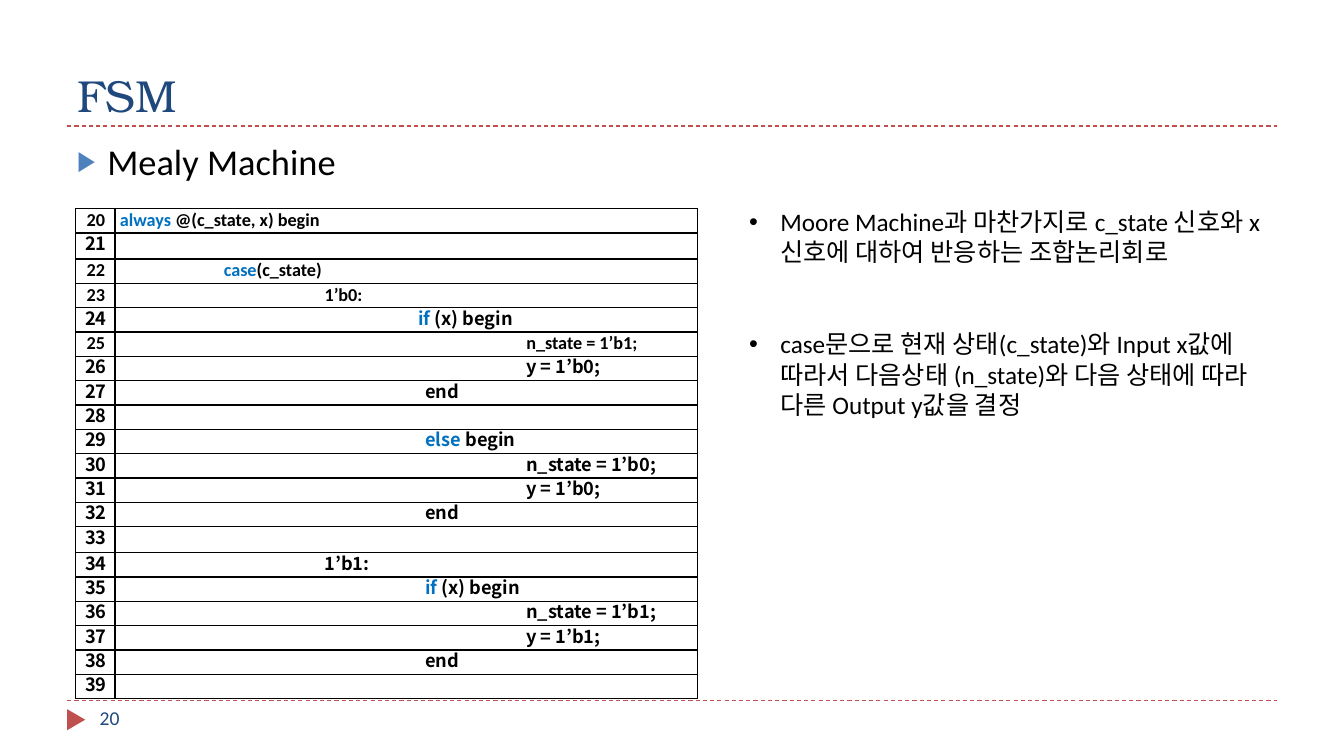
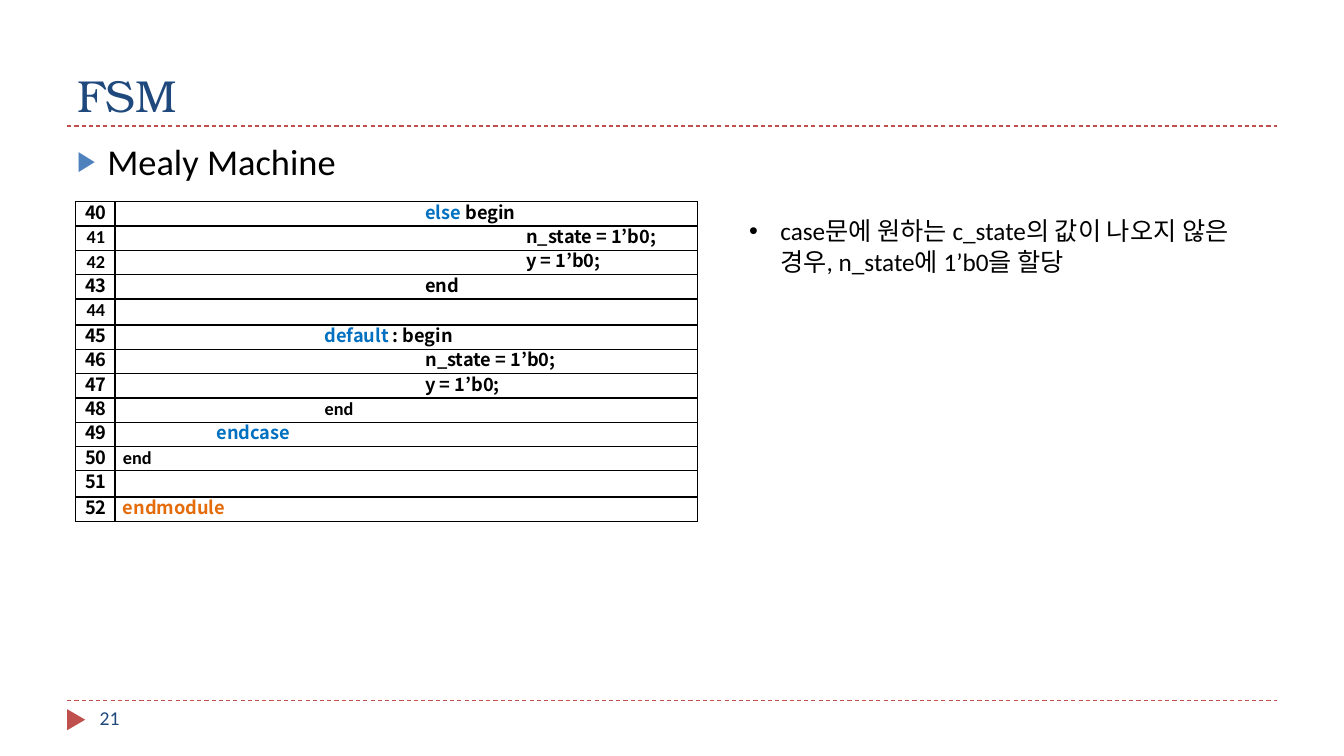
from collections import namedtuple

from lxml.etree import SubElement
from pptx import Presentation
from pptx.dml.color import RGBColor
from pptx.enum.dml import MSO_LINE_DASH_STYLE as Dash
from pptx.enum.shapes import MSO_CONNECTOR as Connector, MSO_SHAPE as Shape
from pptx.enum.text import MSO_ANCHOR as Anchor, PP_ALIGN as Align
from pptx.oxml.ns import qn
from pptx.util import Inches, Pt

WIDTH, HEIGHT = Inches(13.33), Inches(7.5)
GRID_COLS, GRID_ROWS = 40, 90

RED = RGBColor(0xC0, 0x50, 0x4D)
NAVY = RGBColor(0x1F, 0x49, 0x7D)
BLUE = RGBColor(0x4F, 0x81, 0xBD)
BLACK = RGBColor(0, 0, 0)
KEYWORD = RGBColor(0x00, 0x70, 0xC0)
ORANGE = RGBColor(0xE4, 0x6C, 0x0A)

SERIF, SANS, KOREAN = "TeX Gyre Bonum", "Calibri", "Noto Sans CJK KR"

Box = namedtuple("Box", "left top width height")

KEYWORD_COLORS = {
    "always": KEYWORD, "case": KEYWORD, "if": KEYWORD, "else": KEYWORD,
    "default": KEYWORD, "endcase": KEYWORD, "endmodule": ORANGE,
}
SANS_NUMBERS = {20, 22, 23, 25, 41, 42, 44}
SANS_CODE = {20, 22, 23, 25, 48, 50}
TALL_LINES = {21, 33, 44, 51}
CODE_MARGINS = {20: 0.05, 24: 0.01, 49: 0.01}

PAGES = [
    {
        "number": 20,
        "table_top": 24.84,
        "notes_top": 24,
        "first_line": 20,
        "code": [
            (0, "always @(c_state, x) begin"),
            (0, ""),
            (1, "case(c_state)"),
            (2, "1’b0:"),
            (3, "if (x) begin"),
            (4, "n_state = 1’b1;"),
            (4, "y = 1’b0;"),
            (3, "end"),
            (0, ""),
            (3, "else begin"),
            (4, "n_state = 1’b0;"),
            (4, "y = 1’b0;"),
            (3, "end"),
            (0, ""),
            (2, "1’b1:"),
            (3, "if (x) begin"),
            (4, "n_state = 1’b1;"),
            (4, "y = 1’b1;"),
            (3, "end"),
            (0, ""),
        ],
        "notes": [
            "Moore Machine과 마찬가지로 c_state 신호와 x신호에 대하여 반응하는 조합논리회로",
            "case문으로 현재 상태(c_state)와 Input x값에 따라서 다음상태 (n_state)와 "
            "다음 상태에 따라 다른 Output y값을 결정",
        ],
    },
    {
        "number": 21,
        "table_top": 24,
        "notes_top": 25.08,
        "first_line": 40,
        "code": [
            (3, "else begin"),
            (4, "n_state = 1’b0;"),
            (4, "y = 1’b0;"),
            (3, "end"),
            (0, ""),
            (2, "default : begin"),
            (3, "n_state = 1’b0;"),
            (3, "y = 1’b0;"),
            (2, "end"),
            (1, "endcase"),
            (0, "end"),
            (0, ""),
            (0, "endmodule"),
        ],
        "notes": ["case문에 원하는 c_state의 값이 나오지 않은 경우, n_state에 1’b0을 할당"],
    },
]


def cols(count):
    return round(WIDTH * count / GRID_COLS)


def rows(count):
    return round(HEIGHT * count / GRID_ROWS)


def grid_box(left, top, width, height):
    return Box(cols(left), rows(top), cols(width), rows(height))


def add_span(para, text, font, size, color, bold=False):
    span = para.add_run()
    span.text = text
    span.font.name = font
    span.font.size = Pt(size)
    span.font.bold = bold
    span.font.color.rgb = color
    SubElement(span.font._element, qn("a:ea"), typeface=KOREAN)


def add_text_frame(page, box, anchor=Anchor.TOP):
    frame = page.shapes.add_textbox(*box).text_frame
    frame.word_wrap = True
    frame.vertical_anchor = anchor
    return frame


def indent(para, margin, first=0):
    props = para._p.get_or_add_pPr()
    props.set("marL", str(Inches(margin)))
    props.set("indent", str(Inches(first)))
    return props


def set_bullet(para, mark, hang, color=None, percent=100):
    props = indent(para, hang, -hang)
    if color is not None:
        holder = SubElement(props, qn("a:buClr"))
        SubElement(holder, qn("a:srgbClr"), val=str(color))
    SubElement(props, qn("a:buSzPct"), val=str(percent * 1000))
    SubElement(props, qn("a:buFont"), typeface="Arial")
    SubElement(props, qn("a:buChar"), char=mark)


def add_rule(page, left, top, width):
    rule = page.shapes.add_connector(Connector.STRAIGHT, left, top, left + width, top)
    rule.line.color.rgb = RED
    rule.line.width = Pt(0.75)
    rule.line.dash_style = Dash.DASH
    SubElement(rule._element.spPr, qn("a:effectLst"))


def add_title(page, box, text):
    add_rule(page, box.left, box.top + box.height, box.width)
    frame = add_text_frame(page, box, Anchor.BOTTOM)
    add_span(frame.paragraphs[0], text, SERIF, 32, NAVY)


def add_heading(page, box, text):
    para = add_text_frame(page, box).paragraphs[0]
    para.space_before = Pt(6)
    set_bullet(para, "▶", 0.3, BLUE, 76)
    add_span(para, text, SANS, 26, BLACK)


def add_footer(page, box, number):
    add_rule(page, box.left, box.top, box.width)
    marker = page.shapes.add_shape(
        Shape.ISOSCELES_TRIANGLE, box.left - cols(0.05), box.top + rows(1.2),
        cols(0.63), rows(2.16))
    marker.rotation = 90
    marker.shadow.inherit = False
    marker.fill.solid()
    marker.fill.fore_color.rgb = RED
    marker.line.fill.background()
    number_box = Box(box.left + cols(0.67), box.top, cols(8.67), box.height)
    frame = add_text_frame(page, number_box)
    add_span(frame.paragraphs[0], str(number), SANS, 14, NAVY)


def style_cell(cell):
    cell.margin_left = cell.margin_right = cell.margin_top = cell.margin_bottom = 0
    props = cell._tc.get_or_add_tcPr()
    for side in ("lnL", "lnR", "lnT", "lnB"):
        border = SubElement(props, qn(f"a:{side}"), w=str(Pt(1)))
        fill = SubElement(border, qn("a:solidFill"))
        SubElement(fill, qn("a:srgbClr"), val=str(BLACK))
    cell.fill.background()
    para = cell.text_frame.paragraphs[0]
    para.line_spacing = Pt(16.3)
    return para


def add_code(para, text, font):
    if not text:
        SubElement(para._p, qn("a:endParaRPr"), sz="1300")
        return
    word = next((key for key in KEYWORD_COLORS if text.startswith(key)), "")
    if word:
        add_span(para, word, font, 13, KEYWORD_COLORS[word], True)
    rest = text[len(word):]
    if rest:
        add_span(para, rest, font, 13, BLACK, True)


def add_code_table(page, box, first_line, code):
    table = page.shapes.add_table(len(code), 2, *box).table
    table.first_row = table.horz_banding = False
    number_width = cols(1.17)
    table.columns[0].width = number_width
    table.columns[1].width = box.width - number_width
    for index, (depth, text) in enumerate(code):
        line = first_line + index
        table.rows[index].height = rows(3.1 if line in TALL_LINES else 2.9)
        para = style_cell(table.cell(index, 0))
        para.alignment = Align.CENTER
        indent(para, 0.01)
        add_span(para, str(line), SANS if line in SANS_NUMBERS else KOREAN, 13, BLACK, True)
        para = style_cell(table.cell(index, 1))
        indent(para, CODE_MARGINS.get(line, 0.08) + depth)
        add_code(para, text, SANS if line in SANS_CODE else KOREAN)


def add_notes(page, box, notes):
    frame = add_text_frame(page, box)
    for index, text in enumerate(notes):
        para = frame.add_paragraph() if index else frame.paragraphs[0]
        if index:
            para.space_before = Pt(44)
        set_bullet(para, "•", 0.31)
        add_span(para, text, SANS, 18, BLACK)


def add_page(deck, content):
    page = deck.slides.add_slide(deck.slide_layouts[6])
    add_title(page, grid_box(2, 2, 36, 13), "FSM")
    add_heading(page, grid_box(2, 16, 36, 6), "Mealy Machine")
    add_footer(page, grid_box(2, 83.4, 36, 4.8), content["number"])
    code = content["code"]
    table_box = grid_box(2.25, content["table_top"], 18.5, 2.9 * len(code))
    add_code_table(page, table_box, content["first_line"], code)
    add_notes(page, grid_box(22, content["notes_top"], 16.25, 30), content["notes"])


def main():
    deck = Presentation()
    deck.slide_width, deck.slide_height = WIDTH, HEIGHT
    for content in PAGES:
        add_page(deck, content)
    deck.save("out.pptx")


if __name__ == "__main__":
    main()
